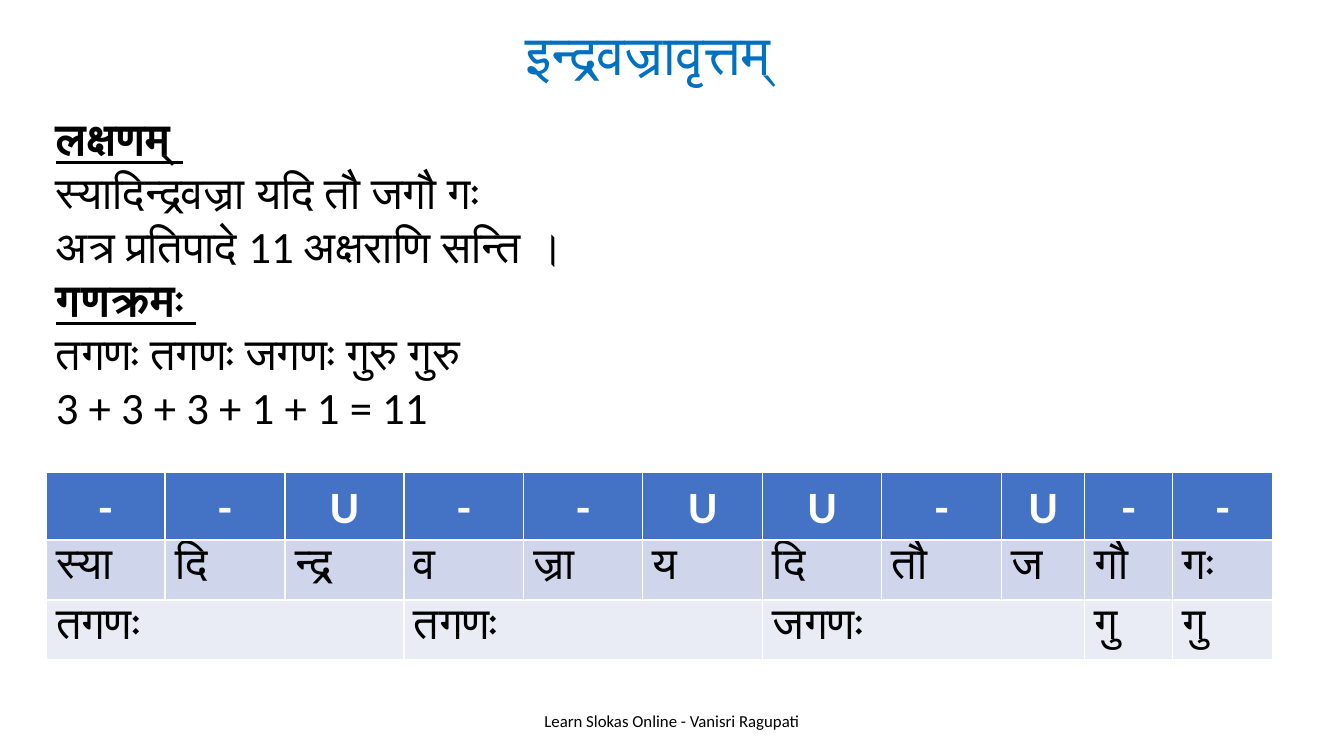
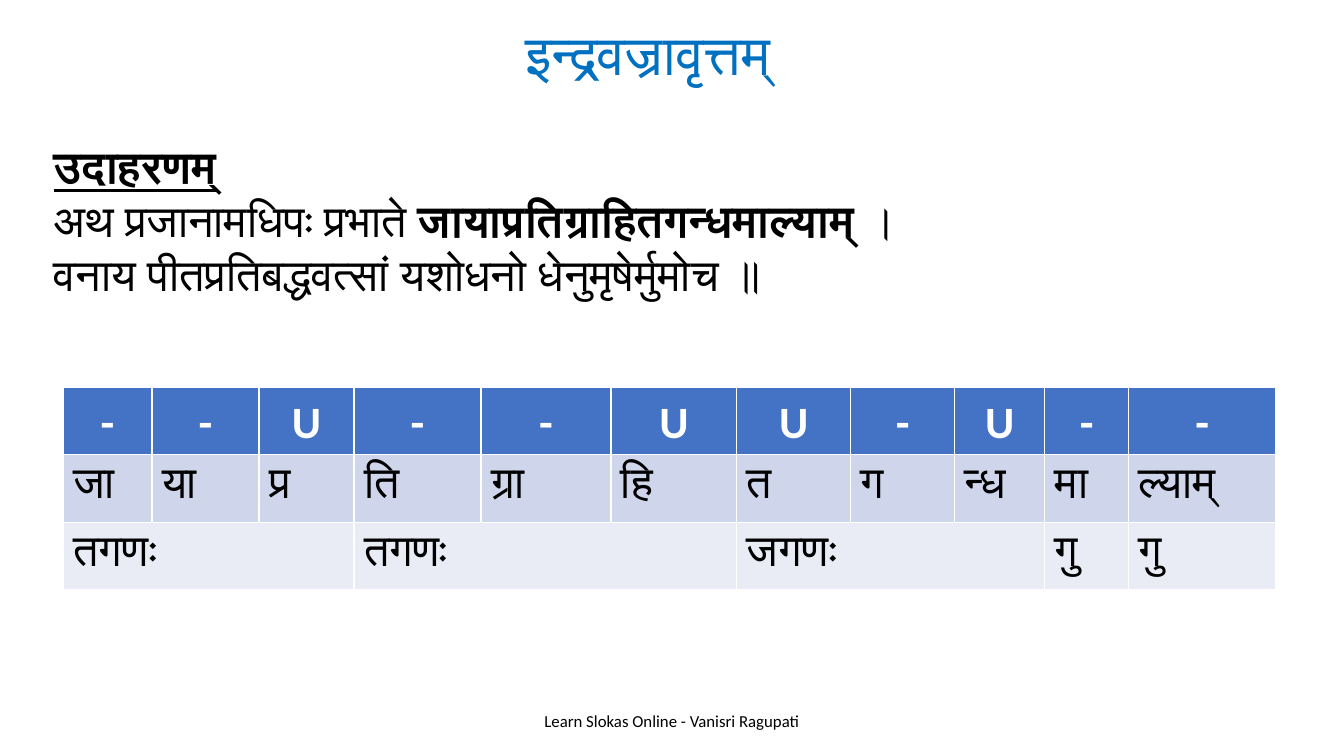
from pptx import Presentation
from pptx.dml.color import RGBColor
from pptx.enum.text import MSO_ANCHOR, PP_ALIGN
from pptx.util import Pt

PX = 914400 / 100.8
WIDE, HIGH = 1344, 756
FONT = "Calibri"
BLACK = RGBColor(0x00, 0x00, 0x00)
WHITE = RGBColor(0xFF, 0xFF, 0xFF)
TITLE = RGBColor(0x00, 0x70, 0xC0)
HEAD = RGBColor(0x44, 0x72, 0xC4)
BANDS = (RGBColor(0xCF, 0xD5, 0xEA), RGBColor(0xE9, 0xEB, 0xF5))
LEFT, CENTER = PP_ALIGN.LEFT, PP_ALIGN.CENTER
MIDDLE, BOTTOM = MSO_ANCHOR.MIDDLE, MSO_ANCHOR.BOTTOM

METRE = "इन्द्रवज्रावृत्तम्"
FOOTER = "Learn Slokas Online - Vanisri Ragupati"
MARKS = "--U--UU-U--"
GANAS = (("तगणः", 3), ("तगणः", 3), ("जगणः", 3), ("गु", 1), ("गु", 1))


def emu(px):
    return round(px * PX)


def style(para, size, color=BLACK, align=LEFT, bold=False):
    para.alignment = align
    font = para.font
    font.name, font.size, font.bold = FONT, Pt(size), bold
    font.color.rgb = color


def add_box(slide, box, anchor):
    frame = slide.shapes.add_textbox(*map(emu, box)).text_frame
    frame.word_wrap = True
    frame.vertical_anchor = anchor
    return frame


def add_label(slide, box, text, size, color, anchor):
    para = add_box(slide, box, anchor).paragraphs[0]
    para.text = text
    style(para, size, color, CENTER)


def add_verse(slide, box, lines):
    """Each line is a heading (str) or a tuple of runs, every second one bold."""
    frame = add_box(slide, box, MIDDLE)
    for i, line in enumerate(lines):
        para = frame.add_paragraph() if i else frame.paragraphs[0]
        heading = isinstance(line, str)
        style(para, 32, bold=heading)
        if heading:
            para.font.underline = True
        for j, text in enumerate((line,) if heading else line):
            run = para.add_run()
            run.text = text
            if j % 2:
                run.font.bold = True


def fill_cell(cell, text, fill, color=BLACK, align=LEFT, bold=False):
    cell.fill.solid()
    cell.fill.fore_color.rgb = fill
    para = cell.text_frame.paragraphs[0]
    para.text = text
    para.line_spacing = 1.07
    style(para, 32, color, align, bold)


def add_scan(slide, left, top, widths, heights, sounds, pad):
    """Table of weights, syllables and ganas; pad is the body's vertical margin."""
    size = (sum(widths), sum(heights))
    table = slide.shapes.add_table(
        len(heights), len(widths), *map(emu, (left, top, *size))).table
    for col, width in zip(table.columns, widths):
        col.width = emu(width)
    for row, height in zip(table.rows, heights):
        row.height = emu(height)
    for i, (mark, sound) in enumerate(zip(MARKS, sounds)):
        fill_cell(table.cell(0, i), mark, HEAD, WHITE, CENTER, True)
        fill_cell(table.cell(1, i), sound, BANDS[0])
        for row in (1, 2):
            cell = table.cell(row, i)
            cell.margin_top = cell.margin_bottom = emu(pad)
    start = 0
    for name, span in GANAS:
        cell = table.cell(2, start)
        if span > 1:
            cell.merge(table.cell(2, start + span - 1))
        fill_cell(cell, name, BANDS[1])
        start += span


def add_slide(deck):
    """Blank slide with the shared footer and title."""
    slide = deck.slides.add_slide(deck.slide_layouts[6])
    add_label(slide, (445, 701, 454, 40), FOOTER, 12, BLACK, MIDDLE)
    add_label(slide, (144, -12, 1008, 104), METRE, 40, TITLE, BOTTOM)
    return slide


def add_rule(deck):
    slide = add_slide(deck)
    add_scan(slide, 46, 472, [119, 120] * 4 + [83, 88, 100], (68, 60, 60),
             "स्या दि न्द्र व ज्रा य दि तौ ज गौ गः".split(), 0)
    add_verse(slide, (46, 104, 1205, 336), (
        "लक्षणम् ",
        ("स्यादिन्द्रवज्रा यदि तौ जगौ गः",),
        ("अत्र प्रतिपादे 11 अक्षराणि सन्ति ।",),
        "गणक्रमः ",
        ("तगणः तगणः जगणः गुरु गुरु",),
        ("3 + 3 + 3 + 1 + 1 = 11",)))


def add_sample(deck):
    slide = add_slide(deck)
    add_verse(slide, (44, 133, 1154, 173), (
        "उदाहरणम्",
        ("अथ प्रजानामधिपः प्रभाते ", "जायाप्रतिग्राहितगन्धमाल्याम्", " ।"),
        ("वनाय पीतप्रतिबद्धवत्सां यशोधनो धेनुमृषेर्मुमोच ॥",)))
    widths = (89, 107, 95, 127, 130, 126, 114, 104, 90, 84, 147)
    add_scan(slide, 63, 387, widths, (67, 67, 67),
             "जा या प्र ति ग्रा हि त ग न्ध मा ल्याम्".split(), 5)


def main():
    deck = Presentation()
    deck.slide_width, deck.slide_height = emu(WIDE), emu(HIGH)
    add_rule(deck)
    add_sample(deck)
    deck.save("out.pptx")


if __name__ == "__main__":
    main()
